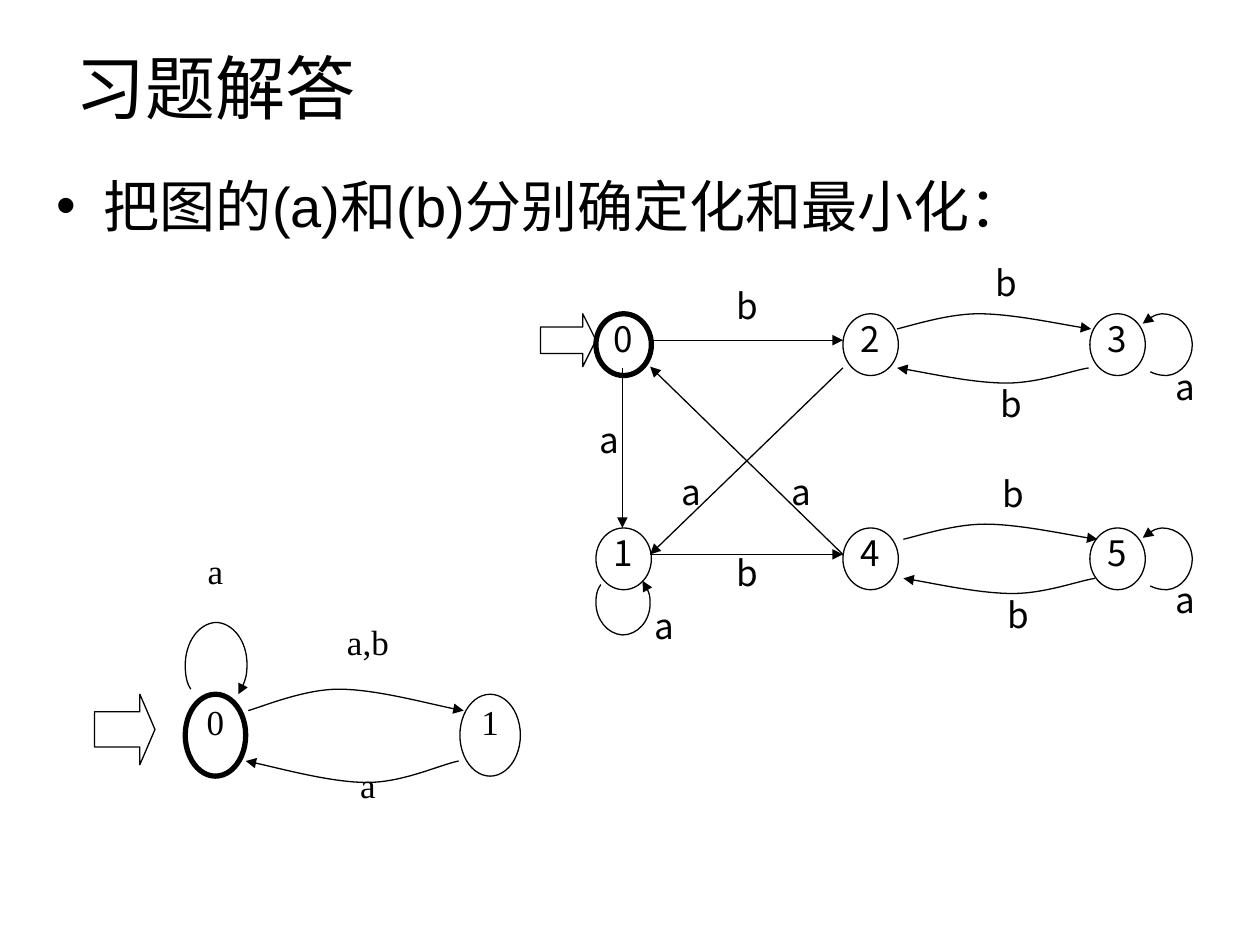
from lxml.etree import SubElement
from pptx import Presentation
from pptx.dml.color import RGBColor
from pptx.enum.shapes import MSO_CONNECTOR as Connector, MSO_SHAPE as Shape
from pptx.enum.text import MSO_ANCHOR as Anchor, MSO_AUTO_SIZE as AutoSize, PP_ALIGN as Align
from pptx.oxml.ns import qn
from pptx.util import Inches, Pt

BLACK = RGBColor(0, 0, 0)
WHITE = RGBColor(255, 255, 255)
THIN, THICK = 0.75, 3

# Curves as shares of their box: a start point, then three points per Bezier segment.
BOW_OVER = [(0, 1), (0.07, 0.8), (0.26, 0), (0.42, 0), (0.59, 0), (0.88, 0.8), (1, 1)]
BOW_UNDER = [(1, 0), (0.91, 0.18), (0.74, 1), (0.57, 1), (0.4, 1), (0.1, 0.18), (0, 0)]
LOOP_BELOW = [(0.09, 0.07), (0.02, 0.16), (0, 0.28), (0, 0.4), (0, 0.72), (0.21, 0.98),
              (0.49, 1), (0.77, 1), (1, 0.74), (1, 0.42), (1, 0.26), (0.95, 0.12), (0.86, 0)]
LOOP_ABOVE = [(x, 1 - y) for x, y in LOOP_BELOW]
LOOP_RIGHT = [(0.15, 0.94), (0.25, 0.98), (0.35, 1), (0.48, 1), (0.78, 0.98), (1, 0.73),
              (0.98, 0.47), (0.95, 0.18), (0.68, 0), (0.38, 0), (0.23, 0.02), (0.1, 0.08), (0, 0.16)]

TITLE = "习题解答"
TASK = "把图的(a)和(b)分别确定化和最小化："

# States: name, column, row. Labels: text, centre x, top. Curves: shape, box.
SMALL = {
    "font": "Times New Roman",
    "origin": (1.47, 5.51), "pitch": (2.18, 0), "state": (0.48, 0.65),
    "label": (0.48, 0.56),
    "start_arrow": (0.75, 5.51, 0.48, 0.56),
    "states": [("0", 0, 0), ("1", 1, 0)],
    "straight": [],
    "curves": [(LOOP_ABOVE, (1.47, 4.94, 0.49, 0.57)),
               (BOW_OVER, (1.97, 5.47, 1.71, 0.17)),
               (BOW_UNDER, (1.95, 6.04, 1.69, 0.17))],
    "labels": [("a", 1.71, 4.38), ("a,b", 2.92, 4.95), ("a", 2.92, 6.08)],
}
LARGE = {
    "font": "Noto Sans CJK SC",
    "origin": (4.73, 2.49), "pitch": (1.96, 1.7), "state": (0.44, 0.49),
    "label": (0.44, 0.42),
    "start_arrow": (4.29, 2.49, 0.44, 0.42),
    "states": [("0", 0, 0), ("2", 1, 0), ("3", 2, 0), ("1", 0, 1), ("4", 1, 1), ("5", 2, 1)],
    "straight": [(4.94, 2.92, 4.94, 4.19), (5.16, 2.7, 6.69, 2.7), (6.69, 2.92, 5.16, 4.4),
                 (6.69, 4.4, 5.16, 2.91), (5.16, 4.4, 6.69, 4.4)],
    "curves": [(BOW_OVER, (7.12, 2.49, 1.54, 0.12)), (BOW_UNDER, (7.12, 2.92, 1.52, 0.12)),
               (BOW_OVER, (7.17, 4.16, 1.54, 0.12)), (BOW_UNDER, (7.17, 4.59, 1.52, 0.12)),
               (LOOP_BELOW, (4.73, 4.61, 0.43, 0.43)),
               (LOOP_RIGHT, (9.07, 2.49, 0.4, 0.49)), (LOOP_RIGHT, (9.07, 4.19, 0.4, 0.49))],
    "labels": [("b", 7.99, 2.1), ("b", 8.03, 3.06), ("b", 8.04, 3.77), ("b", 8.08, 4.73),
               ("a", 5.27, 4.82), ("a", 9.41, 2.92), ("a", 9.41, 4.61), ("a", 4.84, 3.34),
               ("b", 5.93, 2.28), ("a", 6.36, 3.76), ("a", 5.49, 3.76), ("b", 5.93, 4.4)],
}


def inches(*values):
    return [Inches(value) for value in values]


def write(box, text, font, size, align=Align.LEFT, spacing=None):
    para = box.text_frame.paragraphs[0]
    para.alignment = align
    para.space_before = Pt(0)
    if spacing:
        para.line_spacing = spacing
    span = para.add_run()
    span.text = text
    span.font.name, span.font.size = font, Pt(size)
    span.font.color.rgb = BLACK


def write_mark(box, text, font, spacing):
    """Centre a state name or an edge label at the top of its box."""
    frame = box.text_frame
    frame.word_wrap = True
    frame.vertical_anchor = Anchor.TOP
    frame.margin_left = frame.margin_right = frame.margin_top = frame.margin_bottom = 0
    write(box, text, font, 20, Align.CENTER, spacing)


def fill_placeholder(box, place, text, size, anchor):
    box.left, box.top, box.width, box.height = inches(*place)
    box.text_frame.auto_size = AutoSize.NONE
    box.text_frame.vertical_anchor = anchor
    write(box, text, "Arial", size)


def add_outlined(slide, kind, place, weight=THIN):
    shape = slide.shapes.add_shape(kind, *inches(*place))
    shape.shadow.inherit = False
    shape.fill.solid()
    shape.fill.fore_color.rgb = WHITE
    shape.line.color.rgb = BLACK
    shape.line.width = Pt(weight)
    return shape


def style_edge(edge):
    edge.line.color.rgb = BLACK
    edge.line.width = Pt(THIN)
    SubElement(edge.line._get_or_add_ln(), qn("a:tailEnd"), type="triangle")


def add_straight(slide, ends):
    edge = slide.shapes.add_connector(Connector.STRAIGHT, *inches(*ends))
    style_edge(edge)
    SubElement(edge._element.spPr, qn("a:effectLst"))


def add_curve(slide, shares, place):
    """Draw an outline through the points, then turn each three lines into a Bezier."""
    left, top, width, height = place
    points = [inches(left + x * width, top + y * height) for x, y in shares]
    builder = slide.shapes.build_freeform(*points[0])
    builder.add_line_segments(points[1:], close=False)
    edge = builder.convert_to_shape()
    outline = next(edge._element.iter(qn("a:path")))
    lines = outline.findall(qn("a:lnTo"))
    for first in range(0, len(lines), 3):
        bezier = SubElement(outline, qn("a:cubicBezTo"))
        for line in lines[first:first + 3]:
            bezier.append(line[0])
            outline.remove(line)
    edge.shadow.inherit = False
    edge.fill.background()
    style_edge(edge)


def add_automaton(slide, graph):
    font = graph["font"]
    add_outlined(slide, Shape.RIGHT_ARROW, graph["start_arrow"]).adjustments[1] = 0.25
    (left, top), (step_x, step_y) = graph["origin"], graph["pitch"]
    for name, column, row in graph["states"]:
        place = (left + column * step_x, top + row * step_y, *graph["state"])
        state = add_outlined(slide, Shape.OVAL, place, THICK if name == "0" else THIN)
        write_mark(state, name, font, 0.88)
    for ends in graph["straight"]:
        add_straight(slide, ends)
    for shares, place in graph["curves"]:
        add_curve(slide, shares, place)
    width, height = graph["label"]
    for text, center, label_top in graph["labels"]:
        box = slide.shapes.add_textbox(*inches(center - width / 2, label_top, width, height))
        write_mark(box, text, font, 0.96)


def main():
    deck = Presentation()
    deck.slide_width, deck.slide_height = inches(10, 7.5)
    slide = deck.slides.add_slide(deck.slide_layouts[1])
    title, body = slide.placeholders
    fill_placeholder(title, (0.5, 0.3, 9, 0.77), TITLE, 40, Anchor.MIDDLE)
    fill_placeholder(body, (0.35, 1.31, 9, 0.71), TASK, 32, Anchor.TOP)
    for graph in (SMALL, LARGE):
        add_automaton(slide, graph)
    deck.save("out.pptx")


if __name__ == "__main__":
    main()
